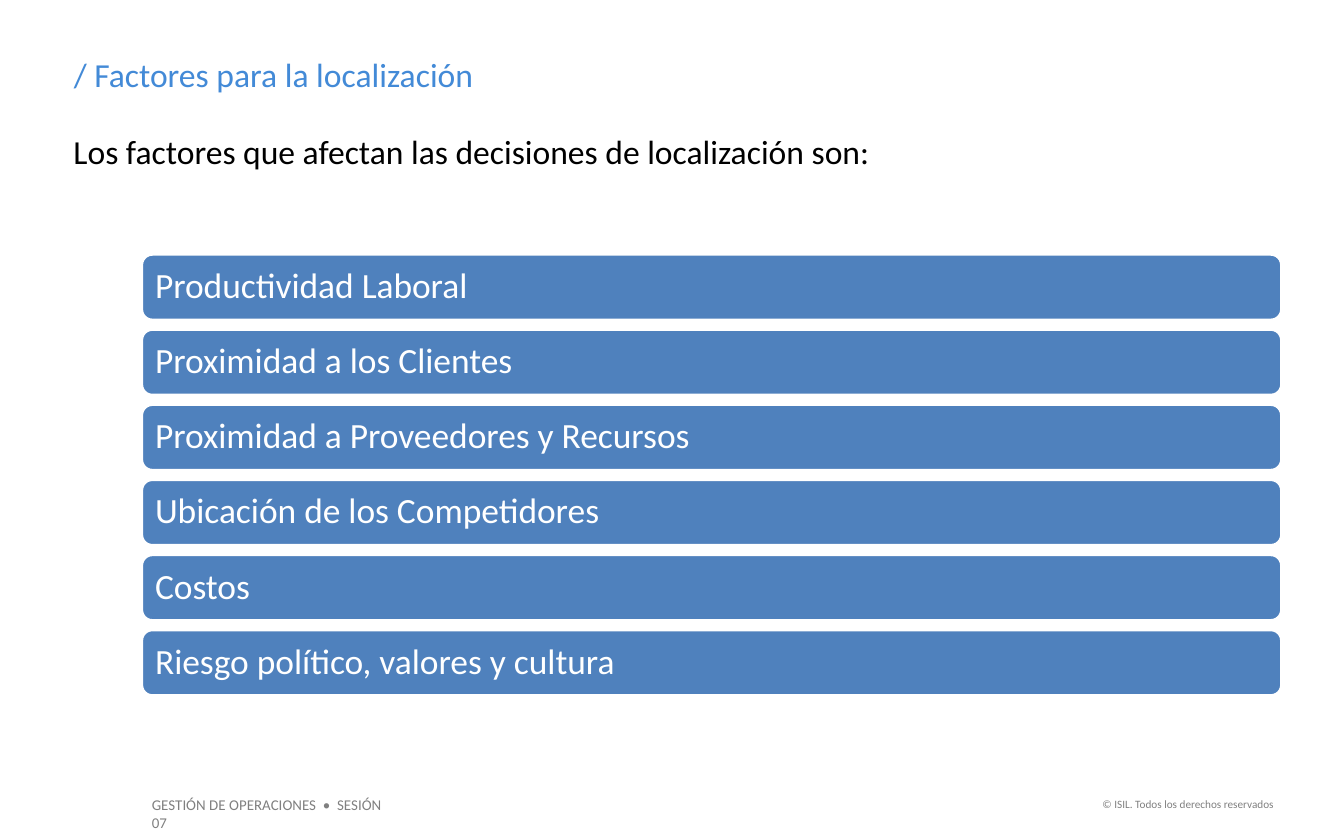
"""Build the slide on the factors that affect location decisions."""
import pptx
import pptx.dml.color
import pptx.enum.shapes
import pptx.enum.text
import pptx.util

Cm = pptx.util.Cm
ALIGN = pptx.enum.text.PP_ALIGN
ANCHOR = pptx.enum.text.MSO_ANCHOR


def color(value):
    return pptx.dml.color.RGBColor.from_string(value)


def write(shape, text, size, text_color, anchor=ANCHOR.TOP, align=ALIGN.LEFT):
    frame = shape.text_frame
    frame.text = text
    frame.word_wrap = True
    frame.auto_size = pptx.enum.text.MSO_AUTO_SIZE.NONE
    frame.vertical_anchor = anchor
    paragraph = frame.paragraphs[0]
    paragraph.alignment = align
    font = paragraph.runs[0].font
    font.name = "Calibri"
    font.size = pptx.util.Pt(size)
    font.color.rgb = color(text_color)


presentation = pptx.Presentation()
presentation.slide_width = Cm(25.4)
presentation.slide_height = Cm(15.88)
slide = presentation.slides.add_slide(presentation.slide_layouts[5])

title = slide.shapes.title
title.left, title.top, title.width, title.height = Cm(1.14), Cm(0.89), Cm(20), Cm(1.03)
write(title, "/ Factores para la localización", 18, "438AD7")

text_boxes = [
    ("Los factores que afectan las decisiones de localización son:",
     1.14, 2.35, 23.75, 1.03, 18, "000000", ALIGN.LEFT),
    ("GESTIÓN DE OPERACIONES  •  SESIÓN 07",
     2.62, 14.92, 5.18, 0.6, 8, "808080", ALIGN.LEFT),
    ("© ISIL. Todos los derechos reservados",
     20.4, 14.95, 3.92, 0.51, 6, "808080", ALIGN.RIGHT),
]
for text, left, top, width, height, size, text_color, align in text_boxes:
    box = slide.shapes.add_textbox(Cm(left), Cm(top), Cm(width), Cm(height))
    write(box, text, size, text_color, align=align)

factors = [
    "Productividad Laboral",
    "Proximidad a los Clientes",
    "Proximidad a Proveedores y Recursos",
    "Ubicación de los Competidores",
    "Costos",
    "Riesgo político, valores y cultura",
]
first_top, pitch = 4.8, 1.42
for index, factor in enumerate(factors):
    bar = slide.shapes.add_shape(
        pptx.enum.shapes.MSO_SHAPE.ROUNDED_RECTANGLE,
        Cm(2.67), Cm(first_top + index * pitch), Cm(21.56), Cm(1.26))
    bar.shadow.inherit = False
    bar.fill.solid()
    bar.fill.fore_color.rgb = color("4F81BD")
    bar.line.color.rgb = color("FFFFFF")
    bar.line.width = pptx.util.Pt(2)
    write(bar, factor, 19, "FFFFFF", ANCHOR.MIDDLE)
    frame = bar.text_frame
    frame.margin_left = frame.margin_right = Cm(0.2)
    frame.margin_top = frame.margin_bottom = Cm(0.2)
    frame.paragraphs[0].line_spacing = 0.9

presentation.save("out.pptx")
